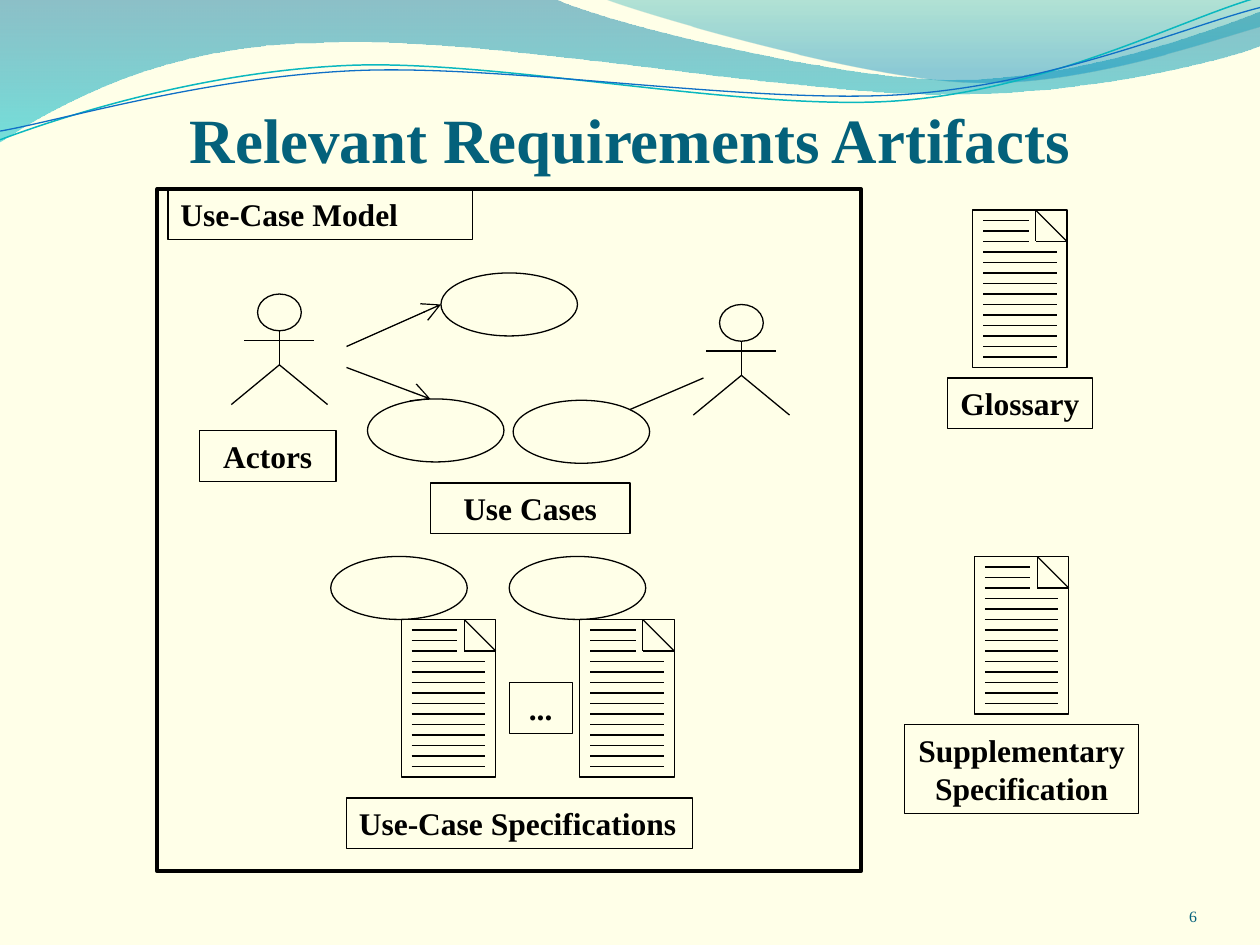
from dataclasses import dataclass

from lxml import etree
from pptx import Presentation
from pptx.dml.color import RGBColor
from pptx.enum.shapes import MSO_CONNECTOR, MSO_SHAPE
from pptx.enum.text import MSO_ANCHOR, PP_ALIGN
from pptx.oxml.ns import qn
from pptx.util import Pt

STRAIGHT = MSO_CONNECTOR.STRAIGHT
RECT, OVAL = MSO_SHAPE.RECTANGLE, MSO_SHAPE.OVAL
LEFT, CENTER, RIGHT = PP_ALIGN.LEFT, PP_ALIGN.CENTER, PP_ALIGN.RIGHT
TOP, MIDDLE, BOTTOM = MSO_ANCHOR.TOP, MSO_ANCHOR.MIDDLE, MSO_ANCHOR.BOTTOM


@dataclass(frozen=True)
class Theme:
    font: str = "Times New Roman"
    background: str = "FFFFE8"
    accent: str = "04617B"
    ink: str = "000000"
    teal: str = "0AB8BF"
    blue: str = "0F6FC6"
    title: float = 36
    label: float = 18
    number: float = 9
    thin: float = 0.75
    thick: float = 2.25


T = Theme()

# Wave outlines: a one-point step is a straight line, a three-point step a curve
BIG_WAVE = [
    [(0, -0.7)], [(316.8, -0.7)],
    [(342.7, 12.2), (478.1, 45.4), (545.8, 45.4)],
    [(614.2, 45.4), (689.8, 18.7), (720, 6.5)],
    [(720.7, 25.9)],
    [(707.8, 31.7), (626.4, 54.7), (537.1, 54)],
    [(447.8, 54), (275, 20.2), (185, 24.5)],
    [(92.9, 25.2), (33.1, 59.8), (-0.7, 81.4)],
]
SMALL_WAVE = [
    [(344.9, -0.7)],
    [(366.5, 7.9), (491, 44.6), (553.7, 46.8)],
    [(616.3, 49.7), (691.9, 23), (720, 15.1)],
    [(720, 0)],
]
TEAL_LINE = [
    [(0, 79.9)],
    [(34.6, 67), (113.8, 41), (199.4, 37.4)],
    [(284.4, 33.8), (427, 64.1), (513.4, 57.6)],
    [(599.8, 51.1), (675.4, 10.8), (718.6, -1.4)],
]
BLUE_LINE = [
    [(0, 74.9)],
    [(33.8, 69.1), (118.1, 43.9), (203.8, 40.3)],
    [(290.2, 36.7), (429.8, 59.8), (516.2, 54)],
    [(601.9, 48.2), (677.5, 15.1), (720, 4.3)],
]


def rgb(color):
    return RGBColor.from_string(color)


def set_line(sp, color=T.ink, width=T.thin):
    sp.line.color.rgb = rgb(color)
    sp.line.width = Pt(width)


def outline(shapes, kind, x, y, w, h, width=T.thin):
    sp = shapes.add_shape(kind, Pt(x), Pt(y), Pt(w), Pt(h))
    sp.shadow.inherit = False
    sp.fill.background()
    set_line(sp, width=width)
    return sp


def use_case(shapes, x, y):
    return outline(shapes, OVAL, x, y, 78, 36)


def connect(shapes, x1, y1, x2, y2, arrow=False):
    c = shapes.add_connector(STRAIGHT, Pt(x1), Pt(y1), Pt(x2), Pt(y2))
    set_line(c)
    spPr = c._element.spPr
    if arrow:
        etree.SubElement(spPr.find(qn("a:ln")), qn("a:tailEnd"),
                         type="arrow", w="lg", len="lg")
    etree.SubElement(spPr, qn("a:effectLst"))


def freeform(shapes, steps, close=False):
    """Draw through all points, then join each three-point step into a curve."""
    pts = [(Pt(x), Pt(y)) for step in steps for x, y in step]
    builder = shapes.build_freeform(*pts[0])
    builder.add_line_segments(pts[1:], close=close)
    sp = builder.convert_to_shape()
    sp.shadow.inherit = False
    segments = iter(list(sp._element.spPr.iter(qn("a:lnTo"))))
    for step in steps[1:]:
        first, *others = [next(segments) for _ in step]
        if others:
            first.tag = qn("a:cubicBezTo")
        for segment in others:
            first.append(segment[0])
            segment.getparent().remove(segment)
    return sp


def wave(shapes, steps, stops):
    """Filled wave; each stop is position, colour and opacity in percent."""
    sp = freeform(shapes, steps, close=True)
    sp.line.fill.background()
    sp.fill.gradient()
    sp.fill.gradient_angle = 270
    for stop, (pos, color, _) in zip(sp.fill.gradient_stops, stops):
        stop.position = pos
        stop.color.rgb = rgb(color)
    colors = sp._element.spPr.iter(qn("a:srgbClr"))
    for clr, (_, _, opacity) in zip(colors, stops):
        etree.SubElement(clr, qn("a:alpha"), val=str(opacity * 1000))


def open_line(shapes, steps, color=T.ink, width=T.thin):
    sp = freeform(shapes, steps)
    sp.fill.background()
    set_line(sp, color, width)


def write(sp, text, size=T.label, color=T.ink, bold=True, align=CENTER,
          anchor=TOP, wrap=True, inset=(7.2, 3.6)):
    tf = sp.text_frame
    tf.word_wrap = wrap
    tf.vertical_anchor = anchor
    tf.margin_left = tf.margin_right = Pt(inset[0])
    tf.margin_top = tf.margin_bottom = Pt(inset[1])
    for i, line in enumerate(text.split("\n")):
        p = tf.add_paragraph() if i else tf.paragraphs[0]
        p.alignment = align
        r = p.add_run()
        r.text = line
        r.font.name, r.font.size, r.font.bold = T.font, Pt(size), bold
        r.font.color.rgb = rgb(color)


def label(shapes, text, x, y, w, h=29, **fmt):
    write(outline(shapes, RECT, x, y, w, h), text, **fmt)


def text_box(shapes, text, x, y, w, h, **fmt):
    write(shapes.add_textbox(Pt(x), Pt(y), Pt(w), Pt(h)), text, **fmt)


def document(shapes, x, y):
    """Page with a folded corner and ruled lines, the first three shorter."""
    outline(shapes, RECT, x, y, 54, 90)
    fold, right, low = x + 36, x + 54, y + 18
    connect(shapes, fold, y, right, low)
    connect(shapes, fold, y, fold, low)
    connect(shapes, right, low, fold, low)
    for i in range(1, 15):
        end = x + (32 if i <= 3 else 48)
        connect(shapes, x + 6, y + 6 * i, end, y + 6 * i)


def actor(shapes, x, y):
    mid = x + 27.5
    outline(shapes, OVAL, mid - 12.5, y, 25, 21)
    connect(shapes, mid, y + 21, mid, y + 40.5)
    connect(shapes, mid - 20, y + 26.5, mid + 20, y + 26.5)
    open_line(shapes, [[(x, y + 63.2)], [(mid, y + 40.5)], [(x + 55, y + 63.2)]])


def main():
    prs = Presentation()
    prs.slide_width, prs.slide_height = Pt(720), Pt(540)
    s = prs.slides.add_slide(prs.slide_layouts[6])
    s.background.fill.solid()
    s.background.fill.fore_color.rgb = rgb(T.background)
    shapes = s.shapes

    # Waves and title
    wave(shapes, BIG_WAVE, [(0, "0074A1", 45), (1, "00C6CF", 55)])
    wave(shapes, SMALL_WAVE, [(0, "00A1A9", 30), (0.8, "008BBF", 45)])
    lines = shapes.add_group_shape().shapes
    open_line(lines, TEAL_LINE, T.teal, 0.85)
    open_line(lines, BLUE_LINE, T.blue)
    text_box(shapes, "Relevant Requirements Artifacts", 36, 50.4, 648, 57.6,
             size=T.title, color=T.accent, anchor=MIDDLE)

    # Artifacts beside the model
    document(shapes.add_group_shape().shapes, 556.75, 318)
    label(shapes, "Supplementary\nSpecification", 517, 414, 133.6, 51, wrap=False)
    document(shapes.add_group_shape().shapes, 555.75, 120)
    label(shapes, "Glossary", 541.25, 216, 83.2, wrap=False)

    # Model frame and use-case specifications
    outline(shapes, RECT, 90, 108, 402, 390, T.thick)
    for x in (189, 291):
        group = shapes.add_group_shape().shapes
        use_case(group, x, 318)
        document(group, x + 40.25, 354)
    label(shapes, "Use-Case Specifications", 198, 456, 197.7, align=LEFT, wrap=False)
    label(shapes, "...", 291, 390, 36)

    # Actors and use cases
    for x, y in ((132.2, 168), (396.2, 174)):
        actor(shapes.add_group_shape().shapes, x, y)
    for x, y in ((252, 156), (210, 228), (293.25, 228.75)):
        use_case(shapes, x, y)
    connect(shapes, 198, 198, 252, 174, arrow=True)
    connect(shapes, 198, 210, 246, 228, arrow=True)
    connect(shapes, 360, 234, 402, 216)
    label(shapes, "Use-Case Model", 96, 108, 174, align=LEFT)
    label(shapes, "Actors", 114, 246, 78)
    label(shapes, "Use Cases", 246, 276, 114)

    # Slide number
    text_box(shapes, "6", 624, 500.5, 60, 28.75, size=T.number, color=T.accent,
             bold=False, align=RIGHT, anchor=BOTTOM, inset=(0, 0))
    prs.save("out.pptx")


if __name__ == "__main__":
    main()
